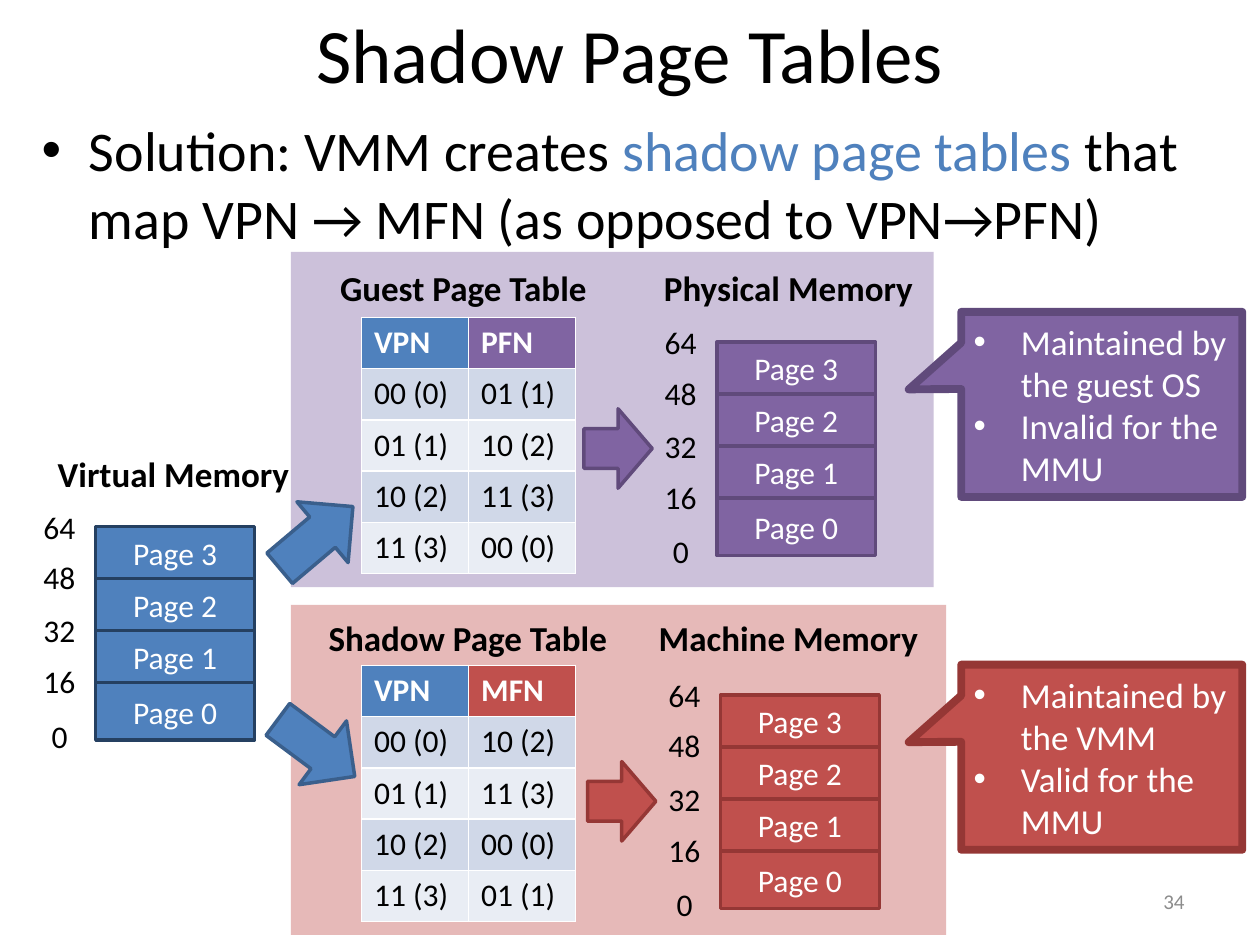
from lxml import etree
from pptx import Presentation
from pptx.dml.color import RGBColor
from pptx.enum import shapes, text
from pptx.oxml import ns
from pptx.util import Pt

FONT = "Calibri"
COLORS = {
    "black": "000000", "white": "FFFFFF", "grey": "8C8C8C",
    "blue": "4F81BD", "navy": "254061", "steel": "3A5F8C",
    "purple": "8064A2", "plum": "604A7B", "lilac": "CCC1DA",
    "red": "C0504D", "maroon": "953735", "rose": "E6B9B8",
    "band_dark": "D0D8E8", "band_light": "E9EDF4",
}
SHAPE = shapes.MSO_SHAPE
ALIGN = text.PP_ALIGN
MIDDLE = text.MSO_ANCHOR.MIDDLE


def rgb(name):
    return RGBColor.from_string(COLORS[name])


def style(p, size, color, bold=False, align=None):
    p.alignment = align
    for r in p.runs:
        r.font.name = FONT
        r.font.size = Pt(size)
        r.font.bold = bold
        r.font.color.rgb = rgb(color)


def place(sp, box):
    sp.left, sp.top, sp.width, sp.height = (Pt(v) for v in box)


def add_label(parent, box, words, size, color="black", bold=False, align=ALIGN.LEFT):
    sp = parent.add_textbox(*(Pt(v) for v in box))
    tf = sp.text_frame
    tf.word_wrap = False
    tf.text = words
    style(tf.paragraphs[0], size, color, bold, align)
    return sp


def add_block(parent, kind, box, fill, line=None, weight=2):
    sp = parent.add_shape(kind, *(Pt(v) for v in box))
    sp.shadow.inherit = False
    sp.fill.solid()
    sp.fill.fore_color.rgb = rgb(fill)
    if line:
        sp.line.color.rgb = rgb(line)
        sp.line.width = Pt(weight)
    else:
        sp.line.fill.background()
    return sp


def add_title(s, box):
    sp = s.shapes.title
    place(sp, box)
    tf = sp.text_frame
    tf.text = "Shadow Page Tables"
    tf.auto_size = text.MSO_AUTO_SIZE.NONE
    tf.vertical_anchor = MIDDLE
    style(tf.paragraphs[0], 44, "black", align=ALIGN.CENTER)


def add_body(s, box):
    sp = s.placeholders[1]
    place(sp, box)
    tf = sp.text_frame
    tf.auto_size = text.MSO_AUTO_SIZE.NONE
    p = tf.paragraphs[0]
    for words in ("Solution: VMM creates ", "shadow page tables",
                  " that map VPN → MFN (as opposed to VPN→PFN)"):
        p.add_run().text = words
    style(p, 32, "black")
    p.space_before = Pt(0)
    p.runs[1].font.color.rgb = rgb("blue")


def add_memory(s, box, heading, heading_box, fill, line):
    x, y, w, h = box
    group = s.shapes.add_group_shape().shapes
    step = 29.7
    for n in range(4):
        top = (3 - n) * step
        height = h - top if n == 0 else step
        sp = add_block(group, SHAPE.RECTANGLE, (x, y + top, w, height), fill, line)
        tf = sp.text_frame
        tf.vertical_anchor = MIDDLE
        tf.text = f"Page {n}"
        style(tf.paragraphs[0], 18, "white", align=ALIGN.CENTER)
    for address, top in ((64, -14.4), (48, 14.4), (32, 44.8), (16, 74), (0, 105)):
        width = 33 if address else 24
        add_label(group, (x - 21 - width / 2, y + top, width, 29),
                  str(address), 18, align=ALIGN.RIGHT)
    dx, dy, width = heading_box
    add_label(group, (x + dx, y + dy, width, 31.5), heading, 20, bold=True)


def add_page_table(s, box, frame_name, frames, frame_fill):
    rows = [("VPN", frame_name)]
    rows += zip(("00 (0)", "01 (1)", "10 (2)", "11 (3)"), frames)
    table = s.shapes.add_table(len(rows), 2, *(Pt(v) for v in box)).table
    for i, row in enumerate(rows):
        band = "band_dark" if i % 2 else "band_light"
        fills = (band, band) if i else ("blue", frame_fill)
        for j, words in enumerate(row):
            cell = table.cell(i, j)
            cell.text = words
            cell.fill.solid()
            cell.fill.fore_color.rgb = rgb(fills[j])
            style(cell.text_frame.paragraphs[0], 18,
                  "black" if i else "white", bold=i == 0)


def add_callout(s, box, points, fill, line):
    sp = add_block(s.shapes, SHAPE.RECTANGULAR_CALLOUT, box, fill, line, 4.5)
    sp.adjustments[0], sp.adjustments[1] = -0.687, -0.081
    tf = sp.text_frame
    tf.word_wrap = True
    tf.vertical_anchor = MIDDLE
    tf.text = "\n".join(points)
    for p in tf.paragraphs:
        pPr = p._p.get_or_add_pPr()
        pPr.set("marL", str(Pt(27)))
        pPr.set("indent", str(-Pt(27)))
        etree.SubElement(pPr, ns.qn("a:buFont")).set("typeface", "Arial")
        etree.SubElement(pPr, ns.qn("a:buChar")).set("char", "•")
        style(p, 20, "white", align=ALIGN.LEFT)


def add_panel(s, box, panel):
    x, y, w, h = box
    fill, line = panel["fill"], panel["line"]
    add_block(s.shapes, SHAPE.RECTANGLE, box, panel["back"])
    dx, dy, width = panel["heading_box"]
    add_label(s.shapes, (x + dx, y + dy, width, 31.5), panel["heading"], 20, bold=True)
    add_page_table(s, (x + 40.3, y + panel["table_top"], 122.4, 146.5),
                   panel["frame_name"], panel["frames"], fill)
    add_memory(s, (x + panel["memory_left"], y + 51.5, 90.7, 122),
               panel["memory"], panel["memory_box"], fill, line)
    add_block(s.shapes, SHAPE.RIGHT_ARROW,
              (x + panel["memory_left"] - 76, y + 89.6, 39, 45.4), fill, line)
    add_callout(s, (x + 383, y + 34.2, 160.6, 105.8), panel["points"], fill, line)


def add_virtual_memory(s, box):
    x, y, w, h = box
    add_memory(s, box, "Virtual Memory", (-28.8, -46, 147.6), "blue", "navy")
    for dy, angle in ((-16.6, -40.1), (103.7, 36.6)):
        sp = add_block(s.shapes, SHAPE.RIGHT_ARROW,
                       (x + 98.7, y + dy, 54.7, 45.4), "blue", "steel")
        sp.rotation = angle


def add_page_number(s, box):
    sp = add_label(s.shapes, box, "34", 12, "grey", align=ALIGN.RIGHT)
    sp.text_frame.word_wrap = True
    sp.text_frame.vertical_anchor = MIDDLE


GUEST = {
    "back": "lilac", "fill": "purple", "line": "plum",
    "heading": "Guest Page Table", "heading_box": (20.9, 5, 157),
    "table_top": 37.4, "frame_name": "PFN",
    "frames": ("01 (1)", "10 (2)", "11 (3)", "00 (0)"),
    "memory": "Physical Memory", "memory_box": (-37.4, -46.5, 158.4),
    "memory_left": 243.4,
    "points": ("Maintained by the guest OS", "Invalid for the MMU"),
}
SHADOW = {
    "back": "rose", "fill": "red", "line": "maroon",
    "heading": "Shadow Page Table", "heading_box": (14.4, 2.9, 175),
    "table_top": 34.6, "frame_name": "MFN",
    "frames": ("10 (2)", "11 (3)", "00 (0)", "01 (1)"),
    "memory": "Machine Memory", "memory_box": (-42.5, -48.5, 164.2),
    "memory_left": 245.5,
    "points": ("Maintained by the VMM", "Valid for the MMU"),
}


def main():
    prs = Presentation()
    prs.slide_width, prs.slide_height = Pt(720), Pt(540)
    s = prs.slides.add_slide(prs.slide_layouts[1])
    add_title(s, (36, 0, 648, 60.5))
    add_body(s, (16.6, 62.6, 687.6, 98.6))
    add_panel(s, (166.3, 144, 367.2, 191.5), GUEST)
    add_panel(s, (166.3, 345.6, 374.4, 188.6), SHADOW)
    add_virtual_memory(s, (54.7, 301, 90.7, 122))
    add_page_number(s, (516, 500.4, 168, 28.8))
    prs.save("out.pptx")


if __name__ == "__main__":
    main()
